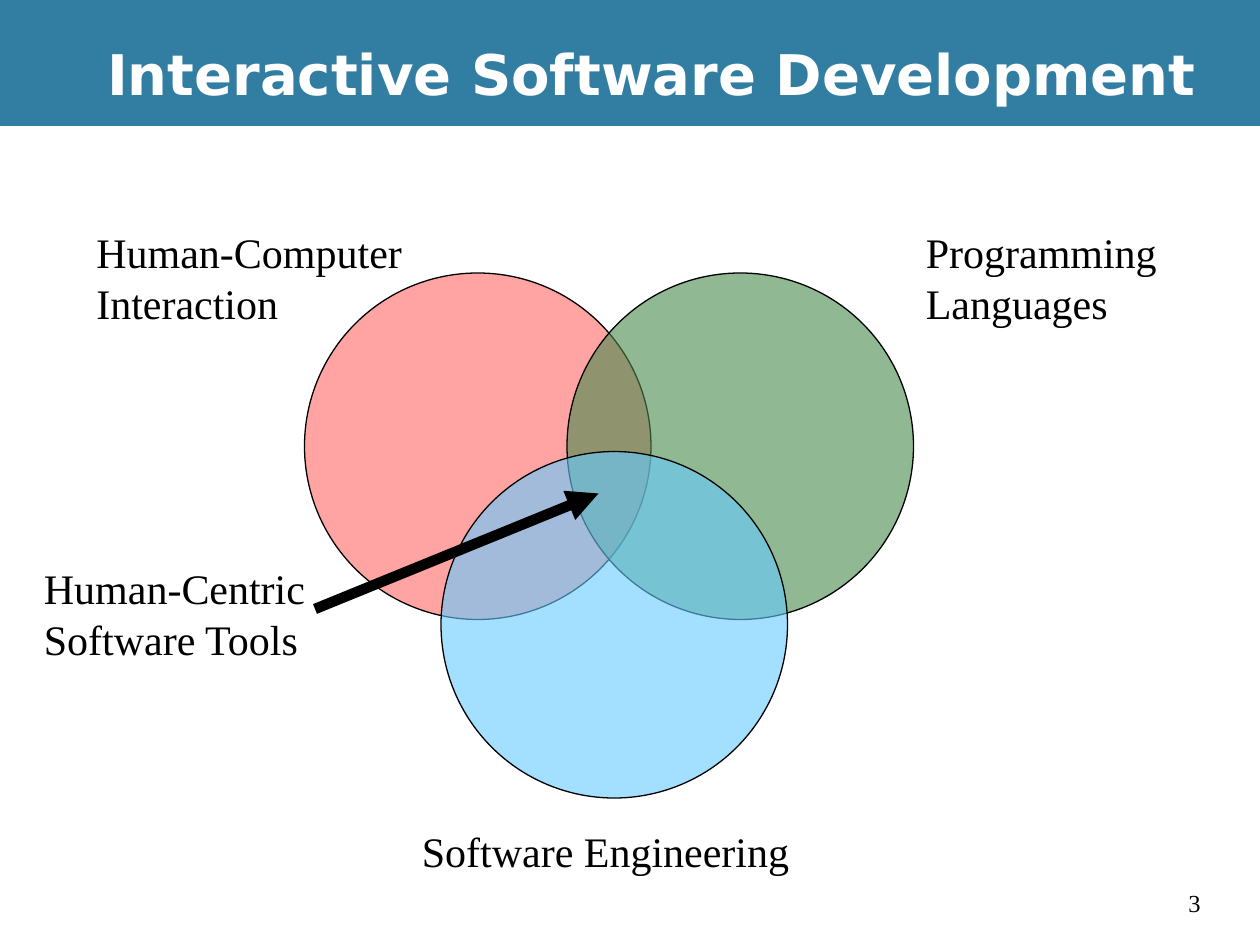
from pptx import Presentation
from pptx.dml.color import RGBColor
from pptx.enum.shapes import MSO_CONNECTOR, MSO_SHAPE
from pptx.enum.text import MSO_ANCHOR, PP_ALIGN
from pptx.oxml.ns import qn
from pptx.util import Pt
from lxml.etree import SubElement

COLORS = {
    "background": "000000",
    "body": "FFFFFF",
    "banner": "327EA3",
    "title": "FFFFFF",
    "ink": "000000",
    "interaction": "FF6666",
    "languages": "468A4B",
    "engineering": "66CCFF",
}


def color(name):
    return RGBColor.from_string(COLORS[name])


def write_text(shape, text, size=24, font="Times New Roman", ink="ink",
               bold=False, wrap=False, anchor=MSO_ANCHOR.TOP, line_spacing=None):
    frame = shape.text_frame
    frame.word_wrap = wrap
    frame.vertical_anchor = anchor
    frame.text = text
    for paragraph in frame.paragraphs:
        paragraph.alignment = PP_ALIGN.LEFT
        paragraph.line_spacing = line_spacing
        paragraph.font.name = font
        paragraph.font.size = Pt(size)
        paragraph.font.bold = bold
        paragraph.font.color.rgb = color(ink)


presentation = Presentation()
presentation.slide_width = Pt(720)
presentation.slide_height = Pt(540)
slide = presentation.slides.add_slide(presentation.slide_layouts[5])
slide.background.fill.solid()
slide.background.fill.fore_color.rgb = color("background")

title = slide.shapes.title
title.left, title.top, title.width, title.height = Pt(54), Pt(6), Pt(666), Pt(72)
write_text(title, "Interactive Software Development", size=32, font="DejaVu Sans",
           ink="title", bold=True, wrap=True, anchor=MSO_ANCHOR.MIDDLE)

for name, top, height in [("body", 72, 468), ("banner", 0, 72)]:
    panel = slide.shapes.add_shape(MSO_SHAPE.RECTANGLE, 0, Pt(top), Pt(720), Pt(height))
    panel.shadow.inherit = False
    panel.fill.solid()
    panel.fill.fore_color.rgb = color(name)
    panel.line.fill.background()
    title._element.addprevious(panel._element)

page_number = slide.shapes.add_textbox(Pt(672), Pt(504), Pt(36), Pt(24))
write_text(page_number, "3", size=14, wrap=True)

DIAMETER = 198
circles = [("interaction", 174, 156), ("languages", 324, 156), ("engineering", 252, 258)]
for name, left, top in circles:
    circle = slide.shapes.add_shape(MSO_SHAPE.OVAL, Pt(left), Pt(top), Pt(DIAMETER), Pt(DIAMETER))
    circle.shadow.inherit = False
    circle.fill.solid()
    circle.fill.fore_color.rgb = color(name)
    fill_color = circle._element.spPr.find(qn("a:solidFill")).find(qn("a:srgbClr"))
    SubElement(fill_color, qn("a:alpha"), val="60000")
    circle.line.color.rgb = color("ink")
    circle.line.width = Pt(0.75)

arrow = slide.shapes.add_connector(MSO_CONNECTOR.STRAIGHT, Pt(180), Pt(348), Pt(342), Pt(282))
arrow.line.color.rgb = color("ink")
arrow.line.width = Pt(6)
SubElement(arrow.line._get_or_add_ln(), qn("a:tailEnd"), type="triangle")
SubElement(arrow._element.spPr, qn("a:effectLst"))

labels = [
    ("Human-Computer\nInteraction", 48, 126, 192, 64.8),
    ("Programming\nLanguages", 522, 126, 150, 64.8),
    ("Software Engineering", 234, 468, 228, 36),
    ("Human-Centric\nSoftware Tools", 18, 318, 168, 64.8),
]
for text, left, top, width, height in labels:
    label = slide.shapes.add_textbox(Pt(left), Pt(top), Pt(width), Pt(height))
    write_text(label, text, wrap=True, line_spacing=Pt(28.8))

presentation.save("out.pptx")
